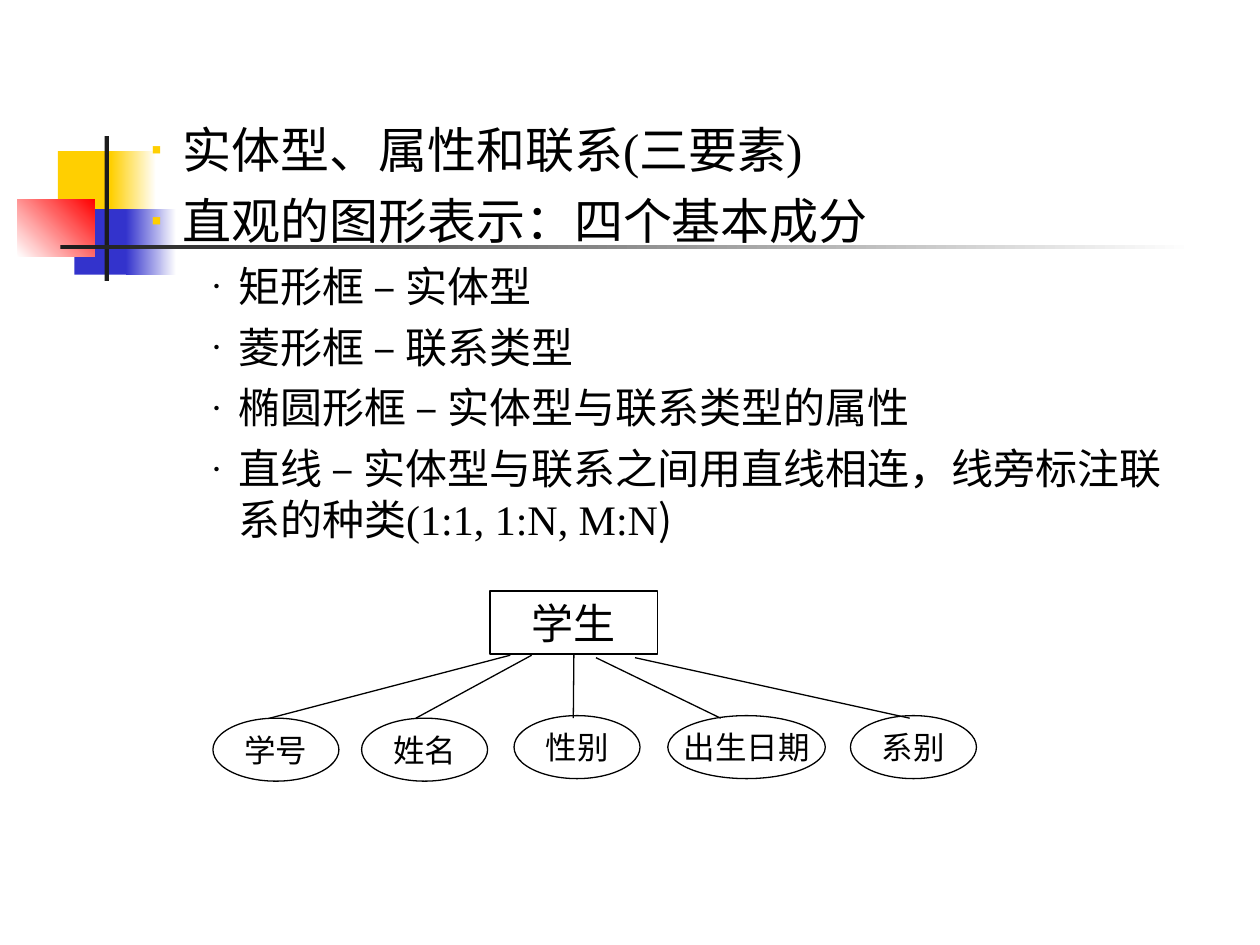
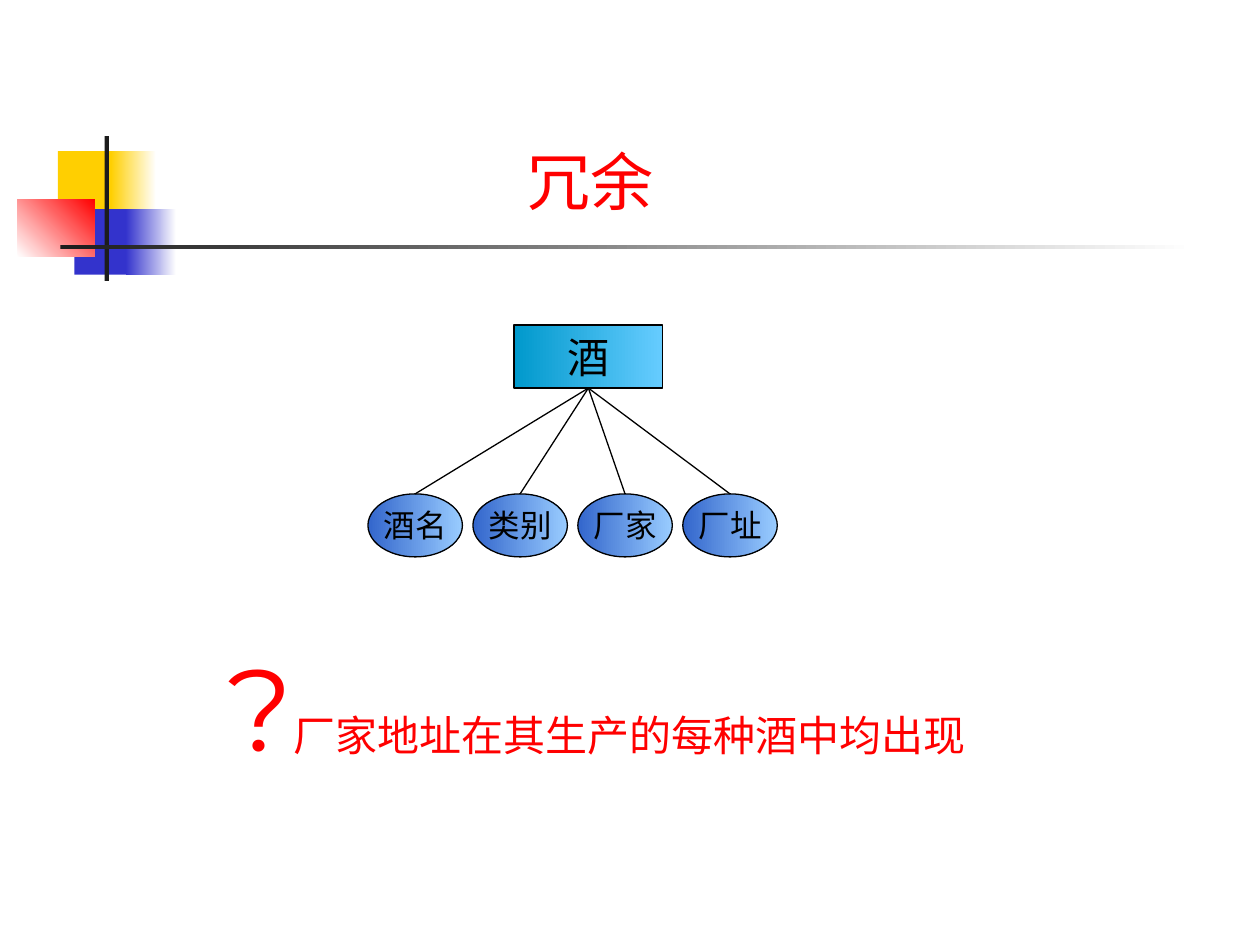
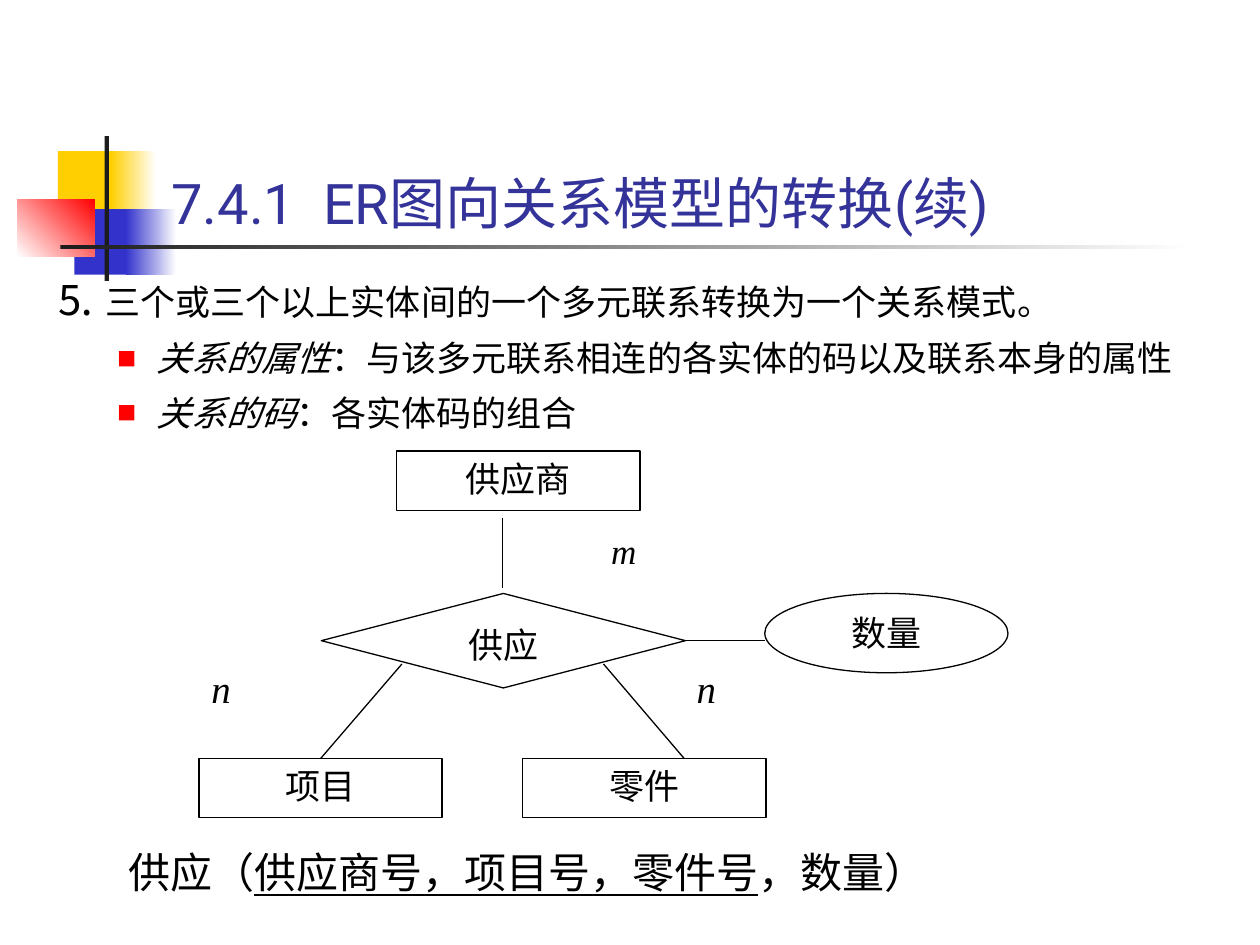
"""Build three entity-relationship slides that share one decorated master."""
from dataclasses import dataclass, replace

from lxml import etree
from pptx import Presentation
from pptx import util as u
from pptx.dml.color import RGBColor
from pptx.enum import shapes, text
from pptx.oxml.ns import qn

BLACK = RGBColor(0x00, 0x00, 0x00)
WHITE = RGBColor(0xFF, 0xFF, 0xFF)
CHARCOAL = RGBColor(0x1C, 0x1C, 0x1C)
YELLOW = RGBColor(0xFF, 0xCF, 0x01)
BLUE = RGBColor(0x33, 0x33, 0xCC)
RED = RGBColor(0xFF, 0x00, 0x00)
INDIGO = RGBColor(0x33, 0x33, 0x99)
ENTITY_BLUES = (RGBColor(0x00, 0x99, 0xCC), RGBColor(0x66, 0xCC, 0xFF))
ATTRIBUTE_BLUES = (RGBColor(0x33, 0x66, 0xCC), RGBColor(0x99, 0xCC, 0xFF))

COLUMNS, ROWS = 100, 75
SERIF, SANS, CJK = "Times New Roman", "Roboto", "Noto Sans CJK SC"
RECT = shapes.MSO_SHAPE.RECTANGLE
OVAL = shapes.MSO_SHAPE.OVAL
DIAMOND = shapes.MSO_SHAPE.DIAMOND
TOP, MIDDLE, BOTTOM = (text.MSO_ANCHOR.TOP, text.MSO_ANCHOR.MIDDLE,
                       text.MSO_ANCHOR.BOTTOM)
LEFT, CENTER, JUSTIFY = (text.PP_ALIGN.LEFT, text.PP_ALIGN.CENTER,
                         text.PP_ALIGN.JUSTIFY)


@dataclass(frozen=True)
class Type:
    """Character style of a run."""
    size: float
    font: str = SERIF
    color: RGBColor = BLACK
    italic: bool = False
    underline: bool = False


@dataclass(frozen=True)
class Para:
    """Paragraph style; bullet is (character, colour, percent)."""
    align: text.PP_ALIGN = LEFT
    before: float = 0
    spacing: float = 1.0
    level: int = 0
    margin: float = 0
    hanging: float = 0
    bullet: tuple = ()


class Deck:
    """Holds the presentation, its style and the current slide."""

    def __init__(self):
        self.prs = Presentation()
        self.prs.slide_width, self.prs.slide_height = u.Inches(10), u.Inches(7.5)
        self.cell_w = self.prs.slide_width / COLUMNS
        self.cell_h = self.prs.slide_height / ROWS
        self.slide = None

    def x(self, columns):
        return u.Emu(round(columns * self.cell_w))

    def y(self, rows):
        return u.Emu(round(rows * self.cell_h))

    def box(self, left, top, width, height):
        return self.x(left), self.y(top), self.x(width), self.y(height)

    def new_slide(self, layout):
        self.slide = self.prs.slides.add_slide(self.prs.slide_layouts[layout])

    def paint(self, shape, fill, angle=0):
        if fill is None:
            shape.fill.background()
        elif isinstance(fill, RGBColor):
            shape.fill.solid()
            shape.fill.fore_color.rgb = fill
        else:
            shape.fill.gradient()
            shape.fill.gradient_angle = angle
            for stop, color in zip(shape.fill.gradient_stops, fill):
                stop.color.rgb = color

    def decorate_master(self):
        """Draw the shared blocks and rules, and move them to the master."""
        ornaments = [
            ((4.6, 12, 4.8, 5.2), YELLOW, 0),
            ((8.8, 12, 3.6, 5.2), (YELLOW, WHITE), 0),
            ((5.9, 16.6, 4.6, 5.2), BLUE, 0),
            ((10, 16.6, 4, 5.2), (BLUE, WHITE), 0),
            ((1.4, 15.8, 6.1, 4.6), (WHITE, RED), 45),
            ((8.3, 10.8, 0.35, 11.5), CHARCOAL, 0),
            ((4.8, 19.45, 90, 0.35), (CHARCOAL, WHITE), 0),
        ]
        master_tree = self.prs.slide_master.shapes._spTree
        for order, (place, fill, angle) in enumerate(ornaments):
            ornament = self.slide.shapes.add_shape(RECT, *self.box(*place))
            ornament.shadow.inherit = False
            ornament.line.fill.background()
            self.paint(ornament, fill, angle)
            ornament._element.nvSpPr.cNvPr.set("id", str(100 + order))
            master_tree.insert(2 + order, ornament._element)

    def fill_frame(self, frame, paragraphs, anchor=TOP, wrap=True):
        """Fill a frame with (paragraph style, [(words, type), ...]) entries."""
        frame.auto_size = text.MSO_AUTO_SIZE.NONE
        frame.word_wrap = wrap
        frame.vertical_anchor = anchor
        for index, (style, runs) in enumerate(paragraphs):
            paragraph = frame.add_paragraph() if index else frame.paragraphs[0]
            self.format_paragraph(paragraph, style)
            for words, kind in runs:
                run = paragraph.add_run()
                run.text = words
                self.format_run(run, kind)

    def format_paragraph(self, paragraph, style):
        paragraph.alignment = style.align
        paragraph.level = style.level
        paragraph.line_spacing = style.spacing
        paragraph.space_before = u.Pt(style.before)
        props = paragraph._p.get_or_add_pPr()
        props.set("marL", str(self.x(style.margin)))
        props.set("indent", str(self.x(-style.hanging)))
        if not style.bullet:
            etree.SubElement(props, qn("a:buNone"))
            return
        mark, color, percent = style.bullet
        tint = etree.SubElement(props, qn("a:buClr"))
        etree.SubElement(tint, qn("a:srgbClr"), val=str(color))
        etree.SubElement(props, qn("a:buSzPct"), val=str(percent * 1000))
        etree.SubElement(props, qn("a:buFont"), typeface=CJK)
        etree.SubElement(props, qn("a:buChar"), char=mark)

    def format_run(self, run, kind):
        run.font.size = u.Pt(kind.size)
        run.font.name = kind.font
        run.font.color.rgb = kind.color
        run.font.italic = kind.italic
        run.font.underline = kind.underline
        etree.SubElement(run._r.get_or_add_rPr(), qn("a:ea"), typeface=CJK)

    def fill_placeholder(self, holder, place, paragraphs, anchor=TOP):
        holder.left, holder.top, holder.width, holder.height = self.box(*place)
        self.fill_frame(holder.text_frame, paragraphs, anchor)

    def title(self, place, words, kind, anchor):
        self.fill_placeholder(self.slide.shapes.title, place,
                              [(Para(), [(words, kind)])], anchor)

    def body(self, place, paragraphs):
        self.fill_placeholder(self.slide.placeholders[1], place, paragraphs)

    def drop_title(self):
        heading = self.slide.shapes.title._element
        heading.getparent().remove(heading)

    def note(self, place, runs, style=Para()):
        label = self.slide.shapes.add_textbox(*self.box(*place))
        self.fill_frame(label.text_frame, [(style, runs)])

    def node(self, outline, place, words, size, fill=None, anchor=TOP):
        shape = self.slide.shapes.add_shape(outline, *self.box(*place))
        shape.shadow.inherit = False
        self.paint(shape, fill)
        shape.line.color.rgb = BLACK
        shape.line.width = u.Pt(0.75)
        self.fill_frame(shape.text_frame,
                        [(Para(CENTER), [(words, Type(size))])], anchor,
                        wrap=False)
        return shape

    def link(self, start, end, begin_at=None, end_at=None):
        """Draw a line; begin_at and end_at are (shape, side) joints."""
        line = self.slide.shapes.add_connector(
            shapes.MSO_CONNECTOR.STRAIGHT, self.x(start[0]), self.y(start[1]),
            self.x(end[0]), self.y(end[1]))
        line.line.color.rgb = BLACK
        line.line.width = u.Pt(0.75)
        etree.SubElement(line._element.spPr, qn("a:effectLst"))
        if begin_at:
            line.begin_connect(*begin_at)
        if end_at:
            line.end_connect(*end_at)


def build_elements(deck):
    """Slide on the entity type, its attributes and its relationships."""
    deck.drop_title()
    topic = Para(before=7, level=1, margin=8.1, hanging=3.1,
                 bullet=("▪", YELLOW, 55))
    symbol = Para(before=6, level=2, margin=12.5, hanging=2.5,
                  bullet=("•", BLACK, 50))
    heading, plain, latin = Type(28), Type(24, CJK), Type(24)
    meanings = [
        ("矩形框", "实体型"),
        ("菱形框", "联系类型"),
        ("椭圆形框", "实体型与联系类型的属性"),
        ("直线", "实体型与联系之间用直线相连，线旁标注联系的种类"),
    ]
    entries = [(topic, [(words, heading)]) for words in
               ("实体型、属性和联系(三要素)", "直观的图形表示：四个基本成分")]
    entries += [(symbol, [(f"{sign} ", plain), ("–", latin),
                          (f" {meaning}", plain)]) for sign, meaning in meanings]
    entries[-1][1].extend([("(1:1, 1:N, M:N", latin), (")", plain)])
    deck.body((5.4, 9, 90.8, 35.1), entries)

    student = deck.node(RECT, (38.9, 46.9, 13.3, 5), "学生", 24)
    attributes = [
        ("学号", 16.9, 57, 10, (40.5, 52), 21.4),
        ("姓名", 28.7, 57, 10, (42.2, 52), 33),
        ("性别", 40.8, 56.8, 10, (45.5, 52), 45.5),
        ("出生日期", 53, 56.8, 12.5, (47.3, 52.2), 57.2),
        ("系别", 67.5, 56.8, 10, (50.4, 52.2), 72.2),
    ]
    for name, left, top, width, start, end_x in attributes:
        deck.node(OVAL, (left, top, width, 5), name, 18, anchor=MIDDLE)
        joint = (student, 2) if name == "性别" else None
        deck.link(start, (end_x, 57), begin_at=joint)


def build_redundancy(deck):
    """Slide on redundancy in the wine entity."""
    deck.title((40.9, 10.8, 13, 7), "冗余", Type(36, "Arial Narrow", RED), TOP)
    wine = deck.node(RECT, (40.8, 25.8, 11.8, 5), "酒", 24, ENTITY_BLUES)
    for index, name in enumerate(("酒名", "类别", "厂家", "厂址")):
        left = 29.2 + index * 8.33
        attribute = deck.node(OVAL, (left, 39.2, 7.5, 5), name, 18,
                              ATTRIBUTE_BLUES, MIDDLE)
        deck.link((46.7, 30.8), (left + 3.75, 39.2), (wine, 2), (attribute, 0))
    question = Type(66, "Montserrat", RED)
    deck.note((17.1, 50, 61.9, 12),
              [("?", question),
               ("厂家地址在其生产的每种酒中均出现", replace(question, size=24))])


def build_conversion(deck):
    """Slide on turning a multi-way relationship into one relation."""
    plain = Type(20, SANS)
    term = replace(plain, italic=True)
    rule = Para(before=5, spacing=1.1, margin=3.8, hanging=3.8)
    detail = replace(rule, level=1, margin=8.1, hanging=3.1,
                     bullet=("■", RED, 55))
    deck.body((3.3, 20.8, 96.7, 45), [
        (rule, [("⒌ ", replace(plain, size=24)),
                ("三个或三个以上实体间的一个多元联系转换为一个关系模式。", plain)]),
        (detail, [("关系的属性", term),
                  ("：与该多元联系相连的各实体的码以及联系本身的属性", plain)]),
        (detail, [("关系的码", term), ("：各实体码的组合", plain)]),
    ])
    deck.title((12.6, 6.7, 85.2, 12.5), "7.4.1  ER图向关系模型的转换(续)",
               Type(32, SANS, INDIGO), BOTTOM)

    deck.node(RECT, (31.5, 35.8, 19.3, 4.7), "供应商", 20)
    supply = deck.node(DIAMOND, (25.5, 47.1, 28.9, 7.5), "供应", 20)
    deck.node(OVAL, (60.7, 47.1, 19.3, 6.3), "数量", 20)
    deck.node(RECT, (41.5, 60.2, 19.3, 4.7), "零件", 20)
    project = deck.node(RECT, (15.8, 60.2, 19.3, 4.7), "项目", 20)
    deck.link((39.9, 41.1), (39.9, 46.7))
    deck.link((54.4, 50.85), (60.7, 50.85), begin_at=(supply, 3))
    deck.link((31.9, 52.7), (25.4, 60.2), end_at=(project, 0))
    deck.link((47.9, 52.7), (54.3, 60.2))

    deck.note((44.7, 41.5, 9.6, 4.7), [("m", Type(20, italic=True))],
              Para(CENTER))
    for left in (15.8, 54.3):
        deck.note((left, 52.7, 9.6, 4.7), [("n", Type(22.2, italic=True))],
                  Para(JUSTIFY, spacing=0.9))
    schema = Type(24, CJK)
    deck.note((9.2, 66.7, 82.5, 5),
              [("供应（", schema),
               ("供应商号，项目号，零件号", replace(schema, underline=True)),
               ("，数量）", schema)], Para(before=15))


def main():
    deck = Deck()
    deck.new_slide(1)
    deck.decorate_master()
    build_elements(deck)
    deck.new_slide(5)
    build_redundancy(deck)
    deck.new_slide(1)
    build_conversion(deck)
    deck.prs.save("out.pptx")


if __name__ == "__main__":
    main()
